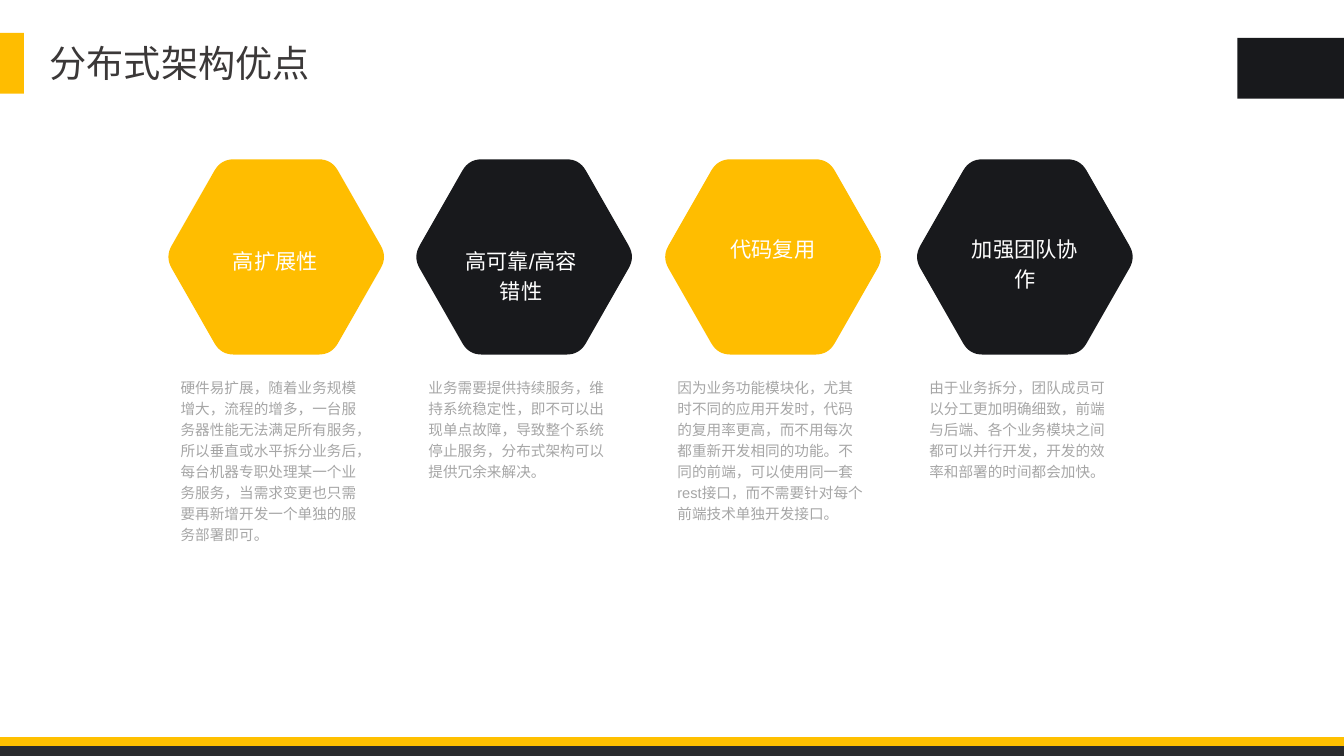
import lxml.etree
import pptx
import pptx.dml.color
import pptx.enum.shapes
import pptx.enum.text
import pptx.oxml.ns
import pptx.util

PX = 9525
YELLOW, BLACK, WHITE = "FFBD00", "18191C", "FFFFFF"
HEXAGON_WIDTH, HEXAGON_HEIGHT = 217, 196
CURVE_STEPS = 8
ALIGN = pptx.enum.text.PP_ALIGN
FIT = pptx.enum.text.MSO_AUTO_SIZE.SHAPE_TO_FIT_TEXT

ADVANTAGES = [
    (169, 47, 84, YELLOW, "高扩展性",
     "硬件易扩展，随着业务规模增大，流程的增多，一台服务器性能无法满足所有服务，所以垂直或水平拆分业务后，每台机器专职处理某一个业务服务，当需求变更也只需要再新增开发一个单独的服务部署即可。"),
    (418, 45, 84, BLACK, "高可靠/高容错性",
     "业务需要提供持续服务，维持系统稳定性，即不可以出现单点故障，导致整个系统停止服务，分布式架构可以提供冗余来解决。"),
    (668, 48, 72, YELLOW, "代码复用",
     "因为业务功能模块化，尤其时不同的应用开发时，代码的复用率更高，而不用每次都重新开发相同的功能。不同的前端，可以使用同一套rest接口，而不需要针对每个前端技术单独开发接口。"),
    (921, 48, 72, BLACK, "加强团队协作",
     "由于业务拆分，团队成员可以分工更加明确细致，前端与后端、各个业务模块之间都可以并行开发，开发的效率和部署的时间都会加快。"),
]


def color(value):
    return pptx.dml.color.RGBColor.from_string(value)


def apply(target, values):
    for name, value in values.items():
        setattr(target, name, value)


def paint(shape, fill):
    shape.shadow.inherit = False
    shape.fill.solid()
    shape.fill.fore_color.rgb = color(fill)
    shape.line.fill.background()


def add_block(slide, box, fill):
    rectangle = pptx.enum.shapes.MSO_SHAPE.RECTANGLE
    paint(slide.shapes.add_shape(rectangle, *(value * PX for value in box)), fill)


def add_text(slide, box, text, font, size, fill, frame_format, paragraph_format):
    shape = slide.shapes.add_textbox(*(value * PX for value in box))
    apply(shape.text_frame, {"word_wrap": True, "auto_size": FIT, **frame_format})
    paragraph = shape.text_frame.paragraphs[0]
    apply(paragraph, paragraph_format)
    run = paragraph.add_run()
    run.text = text
    apply(run.font, {"name": font, "size": pptx.util.Pt(size)})
    run.font.color.rgb = color(fill)
    east_asian = lxml.etree.SubElement(run.font._element, pptx.oxml.ns.qn("a:ea"))
    east_asian.set("typeface", font)


def toward(start, end, distance):
    length = ((end[0] - start[0]) ** 2 + (end[1] - start[1]) ** 2) ** 0.5
    return tuple(a + (b - a) * distance / length for a, b in zip(start, end))


def rounded_outline(corners, cut):
    points = []
    for index, corner in enumerate(corners):
        first = toward(corner, corners[index - 1], cut)
        last = toward(corner, corners[(index + 1) % len(corners)], cut)
        for step in range(CURVE_STEPS + 1):
            t = step / CURVE_STEPS
            points.append(tuple((1 - t) ** 2 * a + 2 * t * (1 - t) * b + t ** 2 * c
                                for a, b, c in zip(first, corner, last)))
    return points


def add_hexagon(slide, left, top, width, height, fill):
    overhang, inset = 3, 53
    corners = [(-overhang, height / 2), (inset, 0), (width - inset, 0),
               (width + overhang, height / 2), (width - inset, height), (inset, height)]
    points = [(round((left + x) * PX), round((top + y) * PX))
              for x, y in rounded_outline(corners, 13)]
    builder = slide.shapes.build_freeform(*points[0], scale=1.0)
    builder.add_line_segments(points[1:], close=True)
    paint(builder.convert_to_shape(), fill)


def add_advantage(slide, left, top, label_x, label_y, fill, label, body):
    add_hexagon(slide, left, top, HEXAGON_WIDTH, HEXAGON_HEIGHT, fill)
    no_margins = dict.fromkeys(
        ("margin_left", "margin_top", "margin_right", "margin_bottom"), 0)
    add_text(slide, (left + label_x, top + label_y, 121, 29), label, "Arial", 16, WHITE,
             no_margins, {"alignment": ALIGN.CENTER, "line_spacing": 1.2})
    add_text(slide, (left + 3, top + 212, 209, 114), body, "Arial", 11, "A6A6A6",
             {}, {"alignment": ALIGN.LEFT, "line_spacing": 1.2})


def add_header(slide, width, top):
    add_block(slide, (0, top, 24, 61), YELLOW)
    add_block(slide, (width - 107, top + 5, 107, 61), BLACK)
    add_text(slide, (39, top + 3, 284, 56), "分布式架构优点", "Noto Sans CJK SC", 28,
             "3B3838", {"word_wrap": False, "margin_left": 11 * PX},
             {"alignment": ALIGN.LEFT})


def add_footer(slide, width, bottom):
    add_block(slide, (0, bottom - 15, width, 15), "2A2B2D")
    add_block(slide, (0, bottom - 19, width, 9), "FFC000")


def main():
    width, height = 1350, 759
    presentation = pptx.Presentation()
    apply(presentation, {"slide_width": width * PX, "slide_height": height * PX})
    slide = presentation.slides.add_slide(presentation.slide_layouts[6])
    add_footer(slide, width, height)
    for left, *details in ADVANTAGES:
        add_advantage(slide, left, 160, *details)
    add_header(slide, width, 33)
    presentation.save("out.pptx")


if __name__ == "__main__":
    main()
